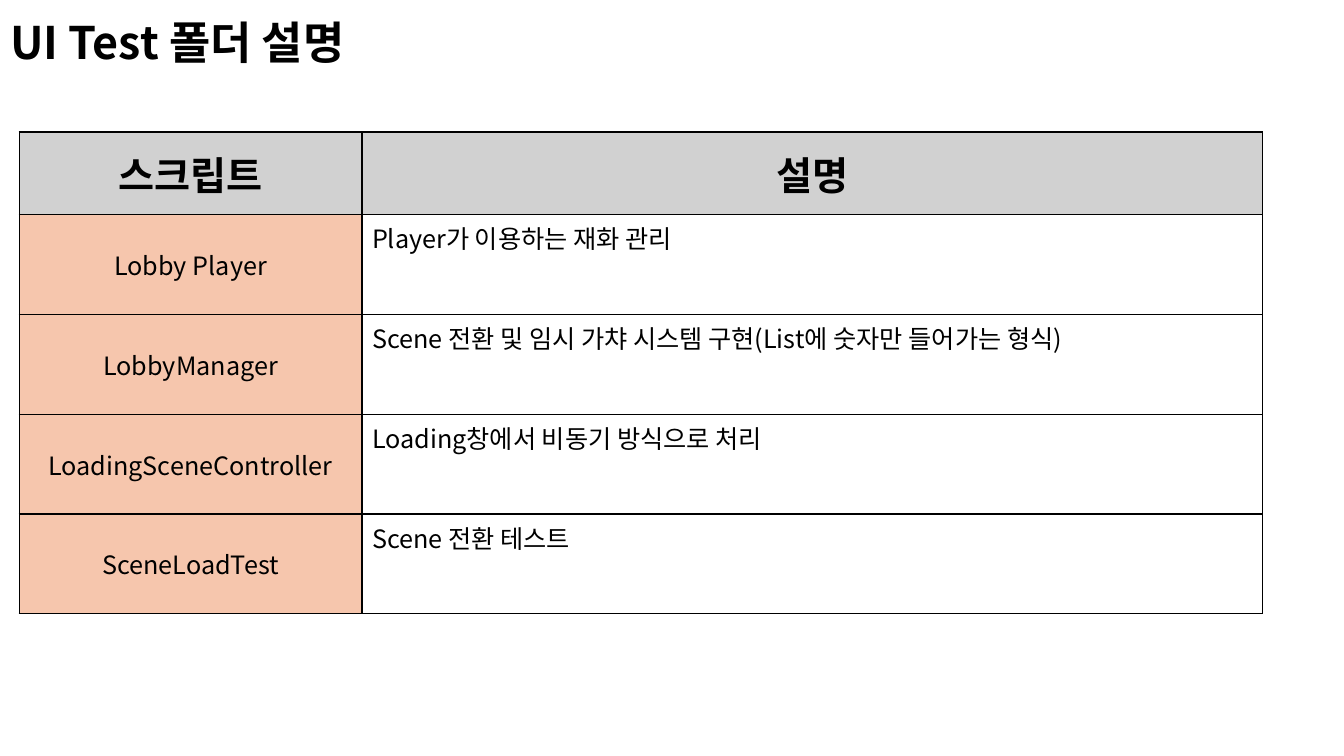
from lxml import etree
from pptx import Presentation
from pptx import util as u
from pptx.dml.color import RGBColor
from pptx.enum import text
from pptx.oxml.ns import qn

HEADING = "UI Test 폴더 설명"
COLUMNS = ("스크립트", "설명")
SCRIPTS = [
    ("Lobby Player", "Player가 이용하는 재화 관리"),
    ("LobbyManager", "Scene 전환 및 임시 가챠 시스템 구현(List에 숫자만 들어가는 형식)"),
    ("LoadingSceneController", "Loading창에서 비동기 방식으로 처리"),
    ("SceneLoadTest", "Scene 전환 테스트"),
]

FONT = "Noto Sans CJK KR"
BLACK = RGBColor(0x00, 0x00, 0x00)
GRAY = RGBColor(0xD1, 0xD1, 0xD1)
PEACH = RGBColor(0xF6, 0xC6, 0xAD)
WHITE = RGBColor(0xFF, 0xFF, 0xFF)

COLUMN_WIDTHS = (3.4, 8.93)
HEADER_HEIGHT = 0.82
SCRIPT_HEIGHT = 0.99


def write(frame, words, size, bold, align):
    frame.text = words
    paragraph = frame.paragraphs[0]
    paragraph.alignment = align
    font = paragraph.font
    font.size = u.Pt(size)
    font.bold = bold
    font.name = FONT
    font.color.rgb = BLACK
    latin = font._element.find(qn("a:latin"))
    east_asian = etree.Element(qn("a:ea"), typeface=FONT)
    latin.addnext(east_asian)


def outline(cell):
    properties = cell._tc.get_or_add_tcPr()
    for position, side in enumerate(("lnL", "lnR", "lnT", "lnB")):
        border = etree.Element(qn(f"a:{side}"), w=str(u.Pt(1)))
        fill = etree.SubElement(border, qn("a:solidFill"))
        etree.SubElement(fill, qn("a:srgbClr"), val=str(BLACK))
        properties.insert(position, border)


def fill_cell(cell, words, is_header, is_name):
    centred = is_header or is_name
    write(cell.text_frame, words, 28 if is_header else 18, is_header,
          text.PP_ALIGN.CENTER if centred else text.PP_ALIGN.LEFT)
    cell.vertical_anchor = text.MSO_ANCHOR.MIDDLE if centred else text.MSO_ANCHOR.TOP
    cell.fill.solid()
    cell.fill.fore_color.rgb = GRAY if is_header else PEACH if is_name else WHITE
    outline(cell)


def main():
    deck = Presentation()
    deck.slide_width, deck.slide_height = u.Inches(13.33), u.Inches(7.5)
    slide = deck.slides.add_slide(deck.slide_layouts[5])

    heading = slide.shapes.title
    heading.left, heading.top = u.Inches(0), u.Inches(0.1)
    heading.width, heading.height = u.Inches(7.49), u.Inches(0.64)
    write(heading.text_frame, HEADING, 32, True, text.PP_ALIGN.LEFT)
    heading.text_frame.vertical_anchor = text.MSO_ANCHOR.TOP
    heading.text_frame.auto_size = text.MSO_AUTO_SIZE.SHAPE_TO_FIT_TEXT

    rows = [COLUMNS, *SCRIPTS]
    heights = [HEADER_HEIGHT] + [SCRIPT_HEIGHT] * len(SCRIPTS)
    guide = slide.shapes.add_table(
        len(rows), len(COLUMNS), u.Inches(0.19), u.Inches(1.31),
        u.Inches(sum(COLUMN_WIDTHS)), u.Inches(sum(heights))).table
    for column, width in zip(guide.columns, COLUMN_WIDTHS):
        column.width = u.Inches(width)
    for r, (entries, height) in enumerate(zip(rows, heights)):
        guide.rows[r].height = u.Inches(height)
        for c, words in enumerate(entries):
            fill_cell(guide.cell(r, c), words, r == 0, c == 0)

    deck.save("out.pptx")


if __name__ == "__main__":
    main()
